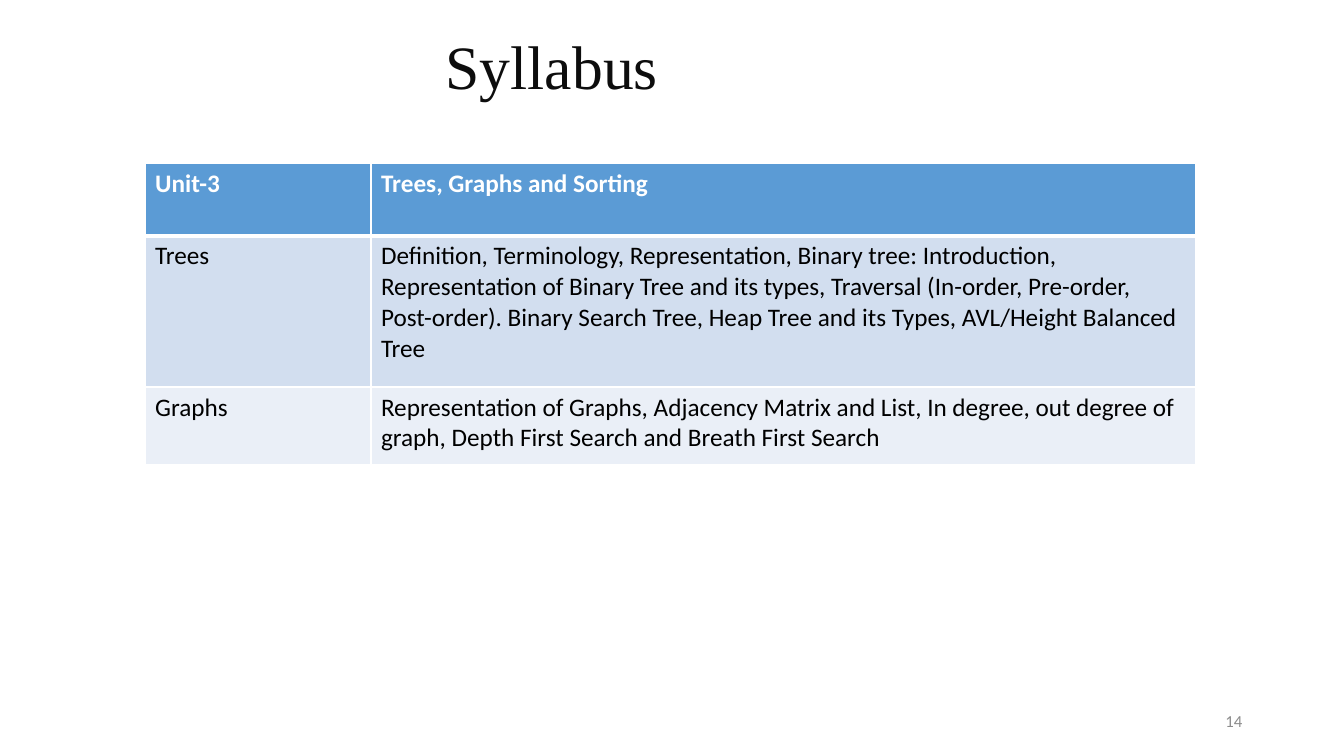
from typing import NamedTuple

from lxml.etree import SubElement as Sub
from pptx import Presentation
from pptx.dml.color import RGBColor as Rgb
from pptx.enum.text import MSO_ANCHOR as Anchor, PP_ALIGN as Align
from pptx.oxml.ns import qn
from pptx.util import Inches, Pt

WIDE, HIGH = Inches(13.33), Inches(7.5)
INK = {
    "white": "FFFFFF",
    "black": "000000",
    "title": "0D0D0D",
    "gray": "8C8C8C",
    "head": "5B9BD5",
    "dark": "D2DEEF",
    "light": "EAEFF7",
}


class Box(NamedTuple):
    left: float
    top: float
    width: float
    height: float


class Row(NamedTuple):
    unit: str
    text: str
    high: float
    fill: str
    ink: str = "black"
    bold: bool = False
    base: int = 1


COLS = (16.8, 61.37)
ROWS = (
    Row("Unit-3", "Trees, Graphs and Sorting", 9.6, "head", "white", True, 3),
    Row(
        "Trees",
        "Definition, Terminology, Representation, Binary tree: Introduction, "
        "Representation of Binary Tree and its types, Traversal (In-order, "
        "Pre-order, Post-order). Binary Search Tree, Heap Tree and its Types, "
        "AVL/Height Balanced Tree",
        20,
        "dark",
    ),
    Row(
        "Graphs",
        "Representation of Graphs, Adjacency Matrix and List, In degree, out "
        "degree of graph, Depth First Search and Breath First Search",
        10.27,
        "light",
    ),
)
TITLE = Box(6.9, 2, 68.34, 14.4)
PAGE = Box(70.67, 92.67, 22.5, 5.33)
TABLE = Box(10.8, 21.6, sum(COLS), sum(row.high for row in ROWS))


def across(share: float) -> int:
    return round(WIDE * share / 100)


def down(share: float) -> int:
    return round(HIGH * share / 100)


def place(box: Box) -> tuple[int, int, int, int]:
    return across(box.left), down(box.top), across(box.width), down(box.height)


def color(name: str) -> Rgb:
    return Rgb.from_string(INK[name])


def style(para, size: int, ink: str, face: str = "Calibri", bold: bool = False) -> None:
    font = para.font
    font.size, font.name, font.bold = Pt(size), face, bold
    font.color.rgb = color(ink)


def write(shape, text: str, align: Align, size: int, ink: str, face: str) -> None:
    frame = shape.text_frame
    frame.text = text
    frame.word_wrap = True
    frame.vertical_anchor = Anchor.MIDDLE
    para = frame.paragraphs[0]
    para.alignment = align
    style(para, size, ink, face)


def edge(cell, side: str, width: int) -> None:
    line = Sub(cell._tc.get_or_add_tcPr(), qn(f"a:ln{side}"), w=str(Pt(width)))
    Sub(Sub(line, qn("a:solidFill")), qn("a:srgbClr"), val=INK["white"])


def add_title(slide) -> None:
    title = slide.shapes.title
    title.left, title.top, title.width, title.height = place(TITLE)
    title.fill.solid()
    title.fill.fore_color.rgb = color("white")
    write(title, "Syllabus", Align.CENTER, 44, "title", "Times New Roman")
    title.text_frame.paragraphs[0].line_spacing = 0.9


def add_units(slide) -> None:
    table = slide.shapes.add_table(len(ROWS), len(COLS), *place(TABLE)).table
    for col, share in zip(table.columns, COLS):
        col.width = across(share)
    tops = (1, *(row.base for row in ROWS))
    for line, row, top in zip(table.rows, ROWS, tops):
        line.height = down(row.high)
        for cell, text in zip(line.cells, (row.unit, row.text)):
            for side, width in zip("LRTB", (1, 1, top, row.base)):
                edge(cell, side, width)
            cell.fill.solid()
            cell.fill.fore_color.rgb = color(row.fill)
            cell.text = text
            style(cell.text_frame.paragraphs[0], 18, row.ink, bold=row.bold)


def main() -> None:
    deck = Presentation()
    deck.slide_width, deck.slide_height = WIDE, HIGH
    slide = deck.slides.add_slide(deck.slide_layouts[5])
    add_title(slide)
    page = slide.shapes.add_textbox(*place(PAGE))
    write(page, "14", Align.RIGHT, 12, "gray", "Calibri")
    add_units(slide)
    deck.save("out.pptx")


if __name__ == "__main__":
    main()
